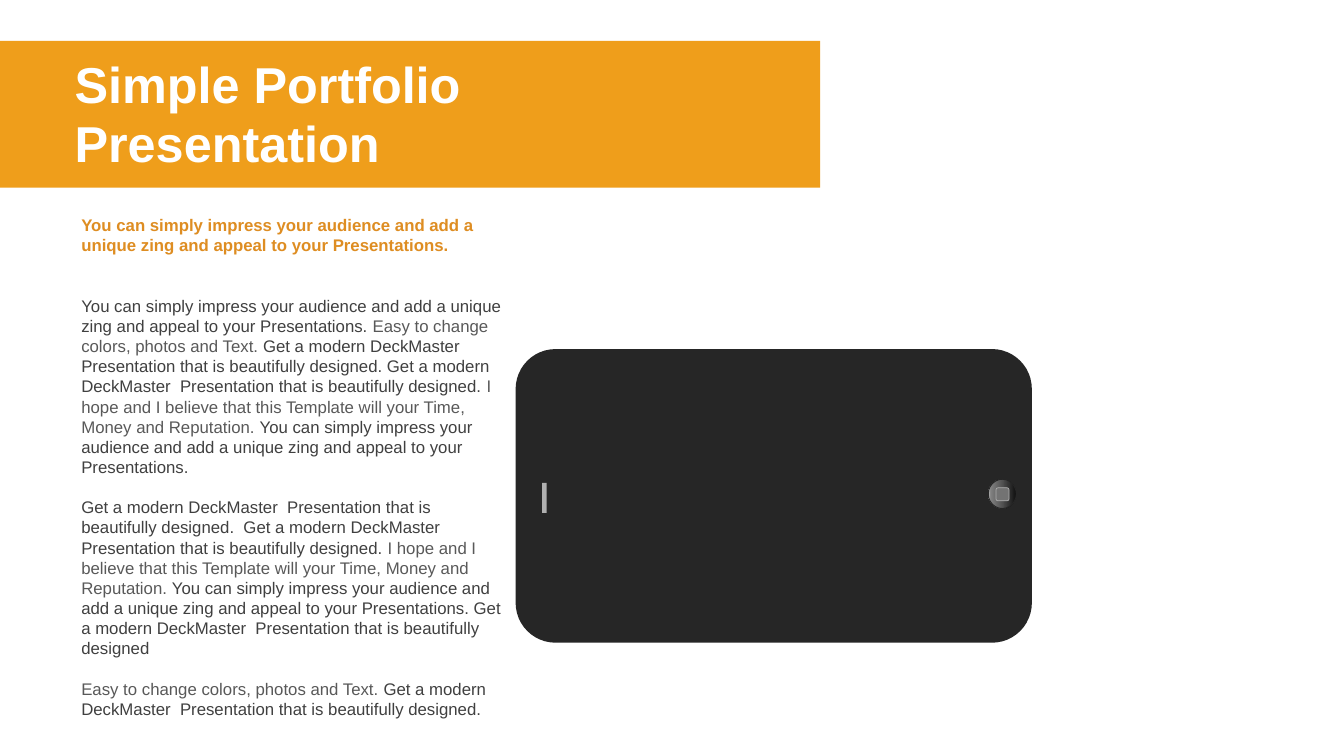
import dataclasses
import typing

import lxml.etree
import pptx
import pptx.dml.color
import pptx.enum.shapes
import pptx.enum.text
import pptx.oxml.ns
import pptx.util

SHAPE = pptx.enum.shapes.MSO_SHAPE
ANCHOR = pptx.enum.text.MSO_ANCHOR
FONT = "Arial"
COLORS = {
    "banner": "EF9E1B",
    "title": "FFFFFF",
    "lead": "DE8D22",
    "dark": "404040",
    "soft": "595959",
    "body": "262626",
    "silver": "B0B0B0",
    "key": "737373",
}
LENS_STOPS = [(0, "0F0F0F"), (56, "595959"), (91, "808080"), (100, "BFBFBF")]

IMPRESS = "You can simply impress your audience and add a unique zing and appeal to your Presentations."
EASY = "Easy to change colors, photos and Text. "
MODERN = "Get a modern DeckMaster  Presentation that is beautifully designed"
HOPE = "I hope and I believe that this Template will your Time, Money and Reputation. "


@dataclasses.dataclass
class Frame:
    left: float
    top: float
    width: float
    height: float

    def lengths(self) -> list[pptx.util.Cm]:
        return [pptx.util.Cm(value) for value in dataclasses.astuple(self)]


@dataclasses.dataclass
class Block:
    kind: SHAPE
    frame: Frame
    fill: typing.Optional[str] = None
    line: typing.Optional[str] = None
    line_width: float = 0
    rotation: float = 270
    corner: typing.Optional[float] = None


@dataclasses.dataclass
class Span:
    text: str
    color: str = "dark"


BANNER = Block(SHAPE.RECTANGLE, Frame(0, 1.03, 20.67, 3.7), "banner", rotation=0)
PHONE = [
    Block(SHAPE.ROUNDED_RECTANGLE, Frame(15.8, 5.99, 7.4, 13.01), "body", corner=0.136),
    Block(SHAPE.RECTANGLE, Frame(13.34, 12.49, 0.76, 0.11), "silver"),
    Block(SHAPE.OVAL, Frame(24.89, 12.09, 0.74, 0.71), line="body"),
    Block(SHAPE.ROUNDED_RECTANGLE, Frame(25.1, 12.29, 0.33, 0.33), "key", "silver", 0.5),
]
TITLE = [[Span("Simple Portfolio", "title")], [Span("Presentation", "title")]]
LEAD = [[Span(IMPRESS, "lead")]]
STORY = [
    [
        Span(f"{IMPRESS} "),
        Span(EASY, "soft"),
        Span(f"{MODERN}. {MODERN}. "),
        Span(HOPE, "soft"),
        Span(IMPRESS),
    ],
    [
        Span(f"{MODERN}.  {MODERN}. "),
        Span(HOPE, "soft"),
        Span(f"{IMPRESS} {MODERN}"),
    ],
    [Span(EASY, "soft"), Span(f"{MODERN}.")],
]


def rgb(name: str) -> pptx.dml.color.RGBColor:
    return pptx.dml.color.RGBColor.from_string(COLORS[name])


def fill_lens(shape: typing.Any) -> None:
    shape.fill.gradient()
    shape.fill.gradient_angle = 180
    qn = pptx.oxml.ns.qn
    gradient = shape.fill._xPr.find(qn("a:gradFill"))
    gradient.set("rotWithShape", "0")
    stops = gradient.find(qn("a:gsLst"))
    for stop in list(stops):
        stops.remove(stop)
    for position, color in LENS_STOPS:
        stop = lxml.etree.SubElement(stops, qn("a:gs"), pos=str(position * 1000))
        lxml.etree.SubElement(stop, qn("a:srgbClr"), val=color)


def add_block(shapes: typing.Any, block: Block) -> None:
    shape = shapes.add_shape(block.kind, *block.frame.lengths())
    shape.shadow.inherit = False
    shape.rotation = block.rotation
    if block.corner is not None:
        shape.adjustments[0] = block.corner
    if block.fill:
        shape.fill.solid()
        shape.fill.fore_color.rgb = rgb(block.fill)
    else:
        fill_lens(shape)
    if block.line:
        shape.line.color.rgb = rgb(block.line)
        shape.line.width = pptx.util.Pt(block.line_width)
    else:
        shape.line.fill.background()


def add_text(
    shapes: typing.Any,
    paragraphs: list[list[Span]],
    frame: Frame,
    *,
    size: float = 12,
    bold: bool = False,
    anchor: ANCHOR = ANCHOR.TOP,
    line_spacing: float = 1.0,
    gap: float = 0,
) -> None:
    box = shapes.add_textbox(*frame.lengths())
    box.text_frame.word_wrap = True
    box.text_frame.vertical_anchor = anchor
    for index, spans in enumerate(paragraphs):
        para = box.text_frame.add_paragraph() if index else box.text_frame.paragraphs[0]
        para.line_spacing = line_spacing
        if index:
            para.space_before = pptx.util.Pt(gap)
        for span in spans:
            run = para.add_run()
            run.text = span.text
            run.font.name = FONT
            run.font.size = pptx.util.Pt(size)
            run.font.bold = bold
            run.font.color.rgb = rgb(span.color)


def main() -> None:
    deck = pptx.Presentation()
    deck.slide_width = pptx.util.Cm(33.87)
    deck.slide_height = pptx.util.Cm(19.05)
    page = deck.slides.add_slide(deck.slide_layouts[6])
    add_block(page.shapes, BANNER)
    phone = page.shapes.add_group_shape()
    for block in PHONE:
        add_block(phone.shapes, block)
    add_text(
        page.shapes, TITLE, Frame(1.63, 1.13, 11.91, 3.71),
        size=36, bold=True, anchor=ANCHOR.MIDDLE, line_spacing=0.8, gap=7,
    )
    add_text(page.shapes, STORY, Frame(1.8, 7.32, 11.25, 10.52), gap=14.4)
    add_text(page.shapes, LEAD, Frame(1.8, 5.28, 11.25, 1.27), bold=True)
    deck.save("out.pptx")


if __name__ == "__main__":
    main()
